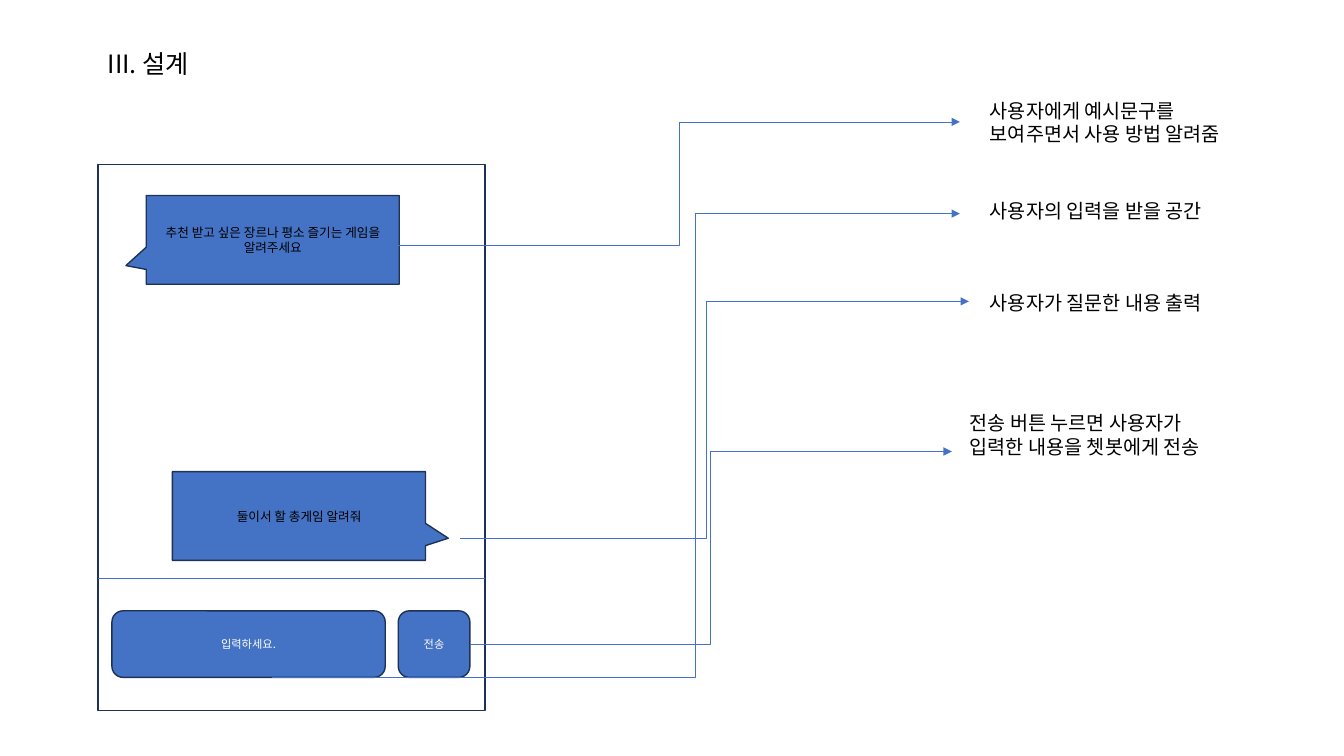
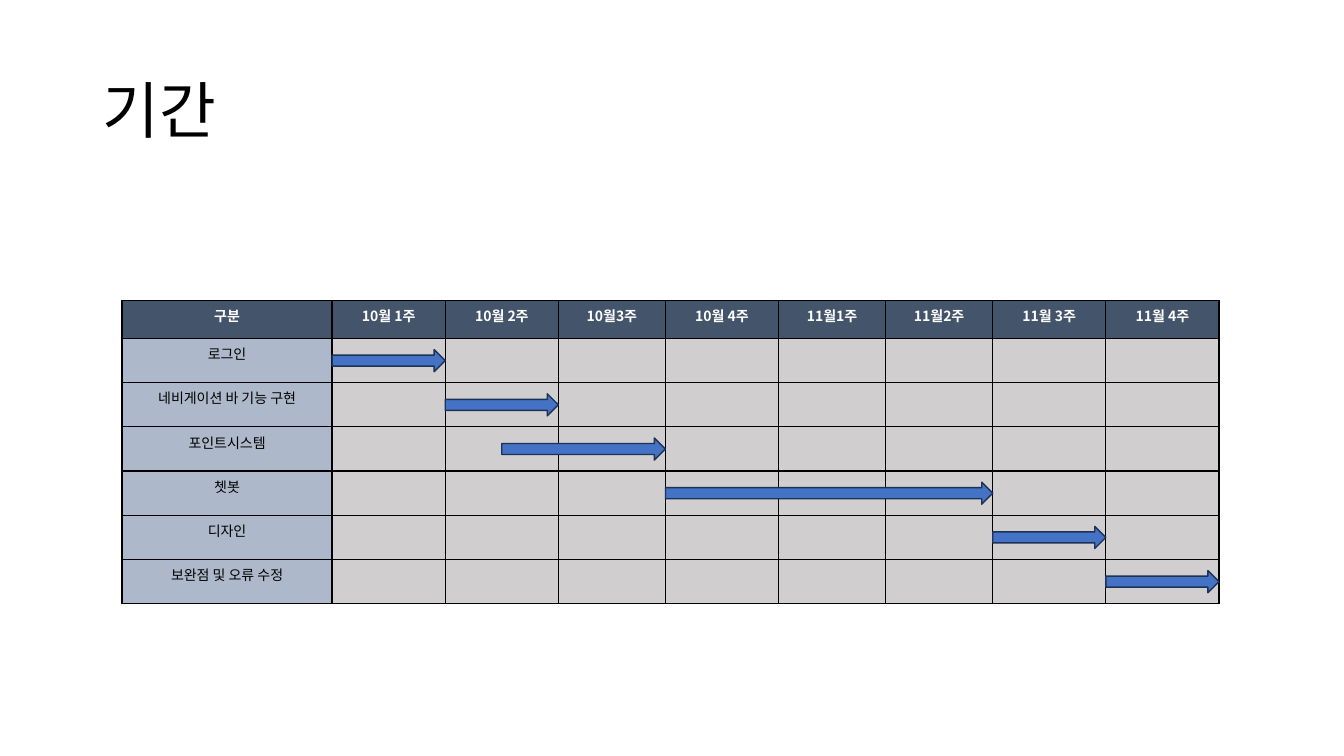
from itertools import accumulate
from typing import NamedTuple

from lxml import etree
from pptx import Presentation
from pptx.dml.color import RGBColor
from pptx.enum.shapes import MSO_CONNECTOR, MSO_SHAPE
from pptx.enum.text import MSO_ANCHOR, PP_ALIGN
from pptx.oxml.ns import qn
from pptx.util import Inches, Pt

RECT = MSO_SHAPE.RECTANGLE
BUBBLE = MSO_SHAPE.RECTANGULAR_CALLOUT
ROUND = MSO_SHAPE.ROUNDED_RECTANGLE
BUTTON = MSO_SHAPE.FLOWCHART_ALTERNATE_PROCESS
ARROW = MSO_SHAPE.RIGHT_ARROW
ELBOW = MSO_CONNECTOR.ELBOW
STRAIGHT = MSO_CONNECTOR.STRAIGHT
LEFT, CENTER = PP_ALIGN.LEFT, PP_ALIGN.CENTER
TOP, MIDDLE = MSO_ANCHOR.TOP, MSO_ANCHOR.MIDDLE

BLACK = RGBColor(0x00, 0x00, 0x00)
WHITE = RGBColor(0xFF, 0xFF, 0xFF)
BLUE = RGBColor(0x44, 0x72, 0xC4)
NAVY = RGBColor(0x1E, 0x32, 0x56)
SLATE = RGBColor(0x44, 0x54, 0x6A)
MIST = RGBColor(0xAD, 0xB9, 0xCA)
GRAY = RGBColor(0xD0, 0xCE, 0xCE)
FONT = "Noto Sans CJK KR"

NOTES = [
    ("사용자에게 예시문구를 보여주면서 사용 방법 알려줌", (72.92, 12.4, 21.83, 7.6)),
    ("사용자의 입력을 받을 공간", (72.92, 25.6, 20.63, 4.53)),
    ("사용자가 질문한 내용 출력", (72.92, 37.87, 20.63, 4.53)),
    ("전송 버튼 누르면 사용자가 입력한 내용을 쳇봇에게 전송", (71.42, 53.73, 19.73, 10.8)),
]
LINKS = [
    ((29.63, 32.53), (71.42, 16.13), 50),
    ((20.26, 89.6), (71.42, 28.27), 61.5),
    ((34.21, 71.2), (72.09, 39.87), 48.4),
    ((34.96, 85.2), (70.82, 59.73), 50),
]
HEADS = ["구분", "10월 1주", "10월 2주", "10월3주", "10월 4주",
         "11월1주", "11월2주", "11월 3주", "11월 4주"]
COLS = [2.08, 1.12, 1.12, 1.06, 1.12, 1.06, 1.06, 1.12, 1.12]
ROWS = [0.38] + [0.44] * 6
TASKS = [
    ("로그인", 0, 1),
    ("네비게이션 바 기능 구현", 1, 2),
    ("포인트시스템", 1.5, 3),
    ("쳇봇", 3, 6),
    ("디자인", 6, 7),
    ("보완점 및 오류 수정", 7, 8),
]


class Box(NamedTuple):
    """Hold a region in EMU."""
    x: int
    y: int
    w: int
    h: int

    def spot(self, x, y):
        """Find a point given in percent of the region."""
        return int(self.x + self.w * x / 100), int(self.y + self.h * y / 100)

    def inner(self, x, y, w, h):
        """Cut out an area given in percent of the region."""
        return Box(*self.spot(x, y), int(self.w * w / 100), int(self.h * h / 100))


def write(frame, text, size, color=BLACK, align=LEFT, bold=False):
    """Add one styled run to the first paragraph of a frame."""
    para = frame.paragraphs[0]
    para.alignment = align
    run = para.add_run()
    run.text = text
    font = run.font
    font.size, font.bold, font.name = Pt(size), bold, FONT
    font.color.rgb = color
    etree.SubElement(run._r.get_or_add_rPr(), qn("a:ea")).set("typeface", FONT)


def label(slide, box, text, size, anchor=TOP):
    """Place a wrapped text box."""
    frame = slide.shapes.add_textbox(*box).text_frame
    frame.word_wrap = True
    frame.vertical_anchor = anchor
    write(frame, text, size)
    return frame


def block(slide, kind, box, fill=BLUE, adjust=()):
    """Place a filled and outlined shape."""
    shape = slide.shapes.add_shape(kind, *box)
    shape.shadow.inherit = False
    shape.fill.solid()
    shape.fill.fore_color.rgb = fill
    shape.line.color.rgb = NAVY
    shape.line.width = Pt(1)
    for i, value in enumerate(adjust):
        shape.adjustments[i] = value
    return shape


def link(slide, kind, start, end):
    """Draw a thin connector without a shadow."""
    line = slide.shapes.add_connector(kind, *start, *end)
    line.line.color.rgb = BLUE
    line.line.width = Pt(0.5)
    etree.SubElement(line._element.spPr, qn("a:effectLst"))
    return line


def bend(slide, start, end, turn):
    """Draw an elbow arrow that turns at a percentage of its width."""
    props = link(slide, ELBOW, start, end)._element.spPr
    stops = props.find(qn("a:prstGeom")).get_or_add_avLst()
    guide = etree.SubElement(stops, qn("a:gd"))
    guide.set("name", "adj1")
    guide.set("fmla", f"val {round(turn * 1000)}")
    etree.SubElement(props.find(qn("a:ln")), qn("a:tailEnd")).set("type", "triangle")


def phone(slide, box):
    """Build the chat screen."""
    block(slide, RECT, box, WHITE)
    link(slide, STRAIGHT, box.spot(0, 75.83), box.spot(100, 75.83))
    items = [
        (BUBBLE, (12.5, 5.72, 65.36, 16.24), (-0.58, 0.29),
         "추천 받고 싶은 장르나 평소 즐기는 게임을 알려주세요", 9, BLACK),
        (BUBBLE, (19.27, 56.27, 65.36, 16.24), (0.59, 0.25),
         "둘이서 할 총게임 알려줘", 9, BLACK),
        (ROUND, (3.65, 81.73, 70.57, 12.18), (), "입력하세요.", 8, WHITE),
        (BUTTON, (77.6, 81.73, 18.49, 12.18), (), "전송", 8, WHITE),
    ]
    for kind, place, adjust, text, size, color in items:
        frame = block(slide, kind, box.inner(*place), adjust=adjust).text_frame
        frame.word_wrap = True
        frame.vertical_anchor = MIDDLE
        write(frame, text, size, color, CENTER)


def design(slide, box):
    """Build the screen design with its notes."""
    label(slide, box.inner(7.28, 5.73, 15.9, 5.33), "III. 설계", 18)
    phone(slide, box.inner(7.28, 21.73, 28.81, 72.27))
    for text, place in NOTES:
        label(slide, box.inner(*place), text, 14)
    for start, end, turn in LINKS:
        bend(slide, box.spot(*start), box.spot(*end), turn)


def edge(cell):
    """Put a black border around a cell, ahead of its fill."""
    props = cell._tc.get_or_add_tcPr()
    for i, side in enumerate(("lnL", "lnR", "lnT", "lnB")):
        line = etree.Element(qn(f"a:{side}"), w=str(int(Pt(1))))
        fill = etree.SubElement(line, qn("a:solidFill"))
        etree.SubElement(fill, qn("a:srgbClr")).set("val", str(BLACK))
        props.insert(i, line)


def grid(slide, box):
    """Build the table of tasks and weeks."""
    table = slide.shapes.add_table(len(ROWS), len(COLS), *box).table
    table.horz_banding = False
    for col, width in zip(table.columns, COLS):
        col.width = int(box.w * width / sum(COLS))
    for row, height in zip(table.rows, ROWS):
        row.height = int(box.h * height / sum(ROWS))
    texts = [HEADS] + [[name] + [""] * (len(COLS) - 1) for name, _, _ in TASKS]
    for r, row in enumerate(texts):
        for c, text in enumerate(row):
            cell = table.cell(r, c)
            cell.fill.solid()
            cell.fill.fore_color.rgb = SLATE if r == 0 else GRAY if c else MIST
            edge(cell)
            if text:
                write(cell.text_frame, text, 10, BLACK if r else WHITE, CENTER, r == 0)
            else:
                cell.margin_top = cell.margin_bottom = 0


def bars(slide, box):
    """Lay an arrow over the weeks of each task."""
    marks = [box.x + box.w * mark / sum(COLS) for mark in accumulate(COLS)]
    tops = [box.y + box.h * top / sum(ROWS) for top in accumulate(ROWS)]

    def week(n):
        """Find the left edge of a week, or a point within it."""
        i = int(n)
        return marks[i] + (n - i) * (marks[min(i + 1, len(marks) - 1)] - marks[i])

    for (_, start, end), top, base in zip(TASKS, tops, tops[1:]):
        tall = (base - top) / 2
        left = week(start)
        place = Box(int(left), int(top + tall / 2), int(week(end) - left), int(tall))
        block(slide, ARROW, place)


def plan(slide, box):
    """Build the schedule."""
    frame = label(slide, box.inner(6.9, 5.33, 86.27, 19.33), "기간", 44, MIDDLE)
    frame.paragraphs[0].line_spacing = 0.9
    chart = box.inner(9.08, 39.73, 81.62, 40.13)
    grid(slide, chart)
    bars(slide, chart)


def main():
    """Build and save the deck."""
    deck = Presentation()
    deck.slide_width, deck.slide_height = Inches(13.33), Inches(7.5)
    page = Box(0, 0, deck.slide_width, deck.slide_height)
    for build in (design, plan):
        build(deck.slides.add_slide(deck.slide_layouts[6]), page)
    deck.save("out.pptx")


if __name__ == "__main__":
    main()
